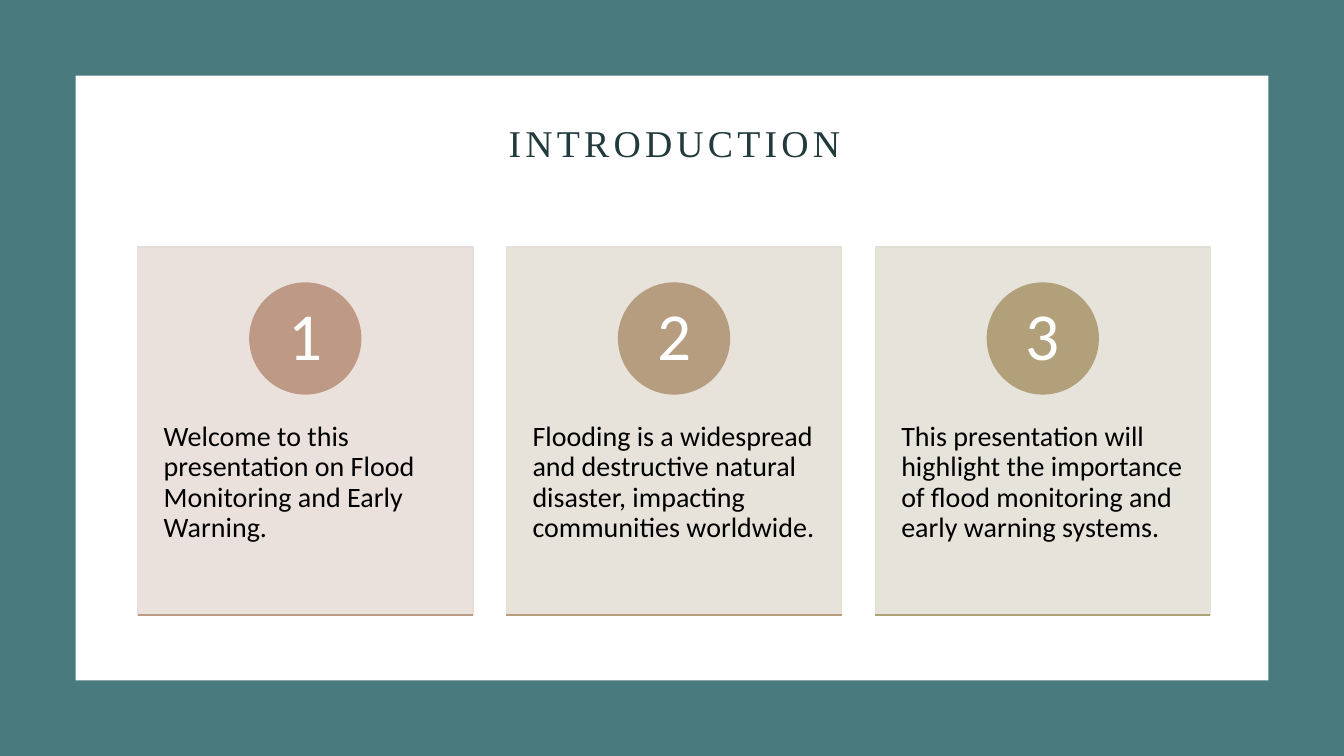
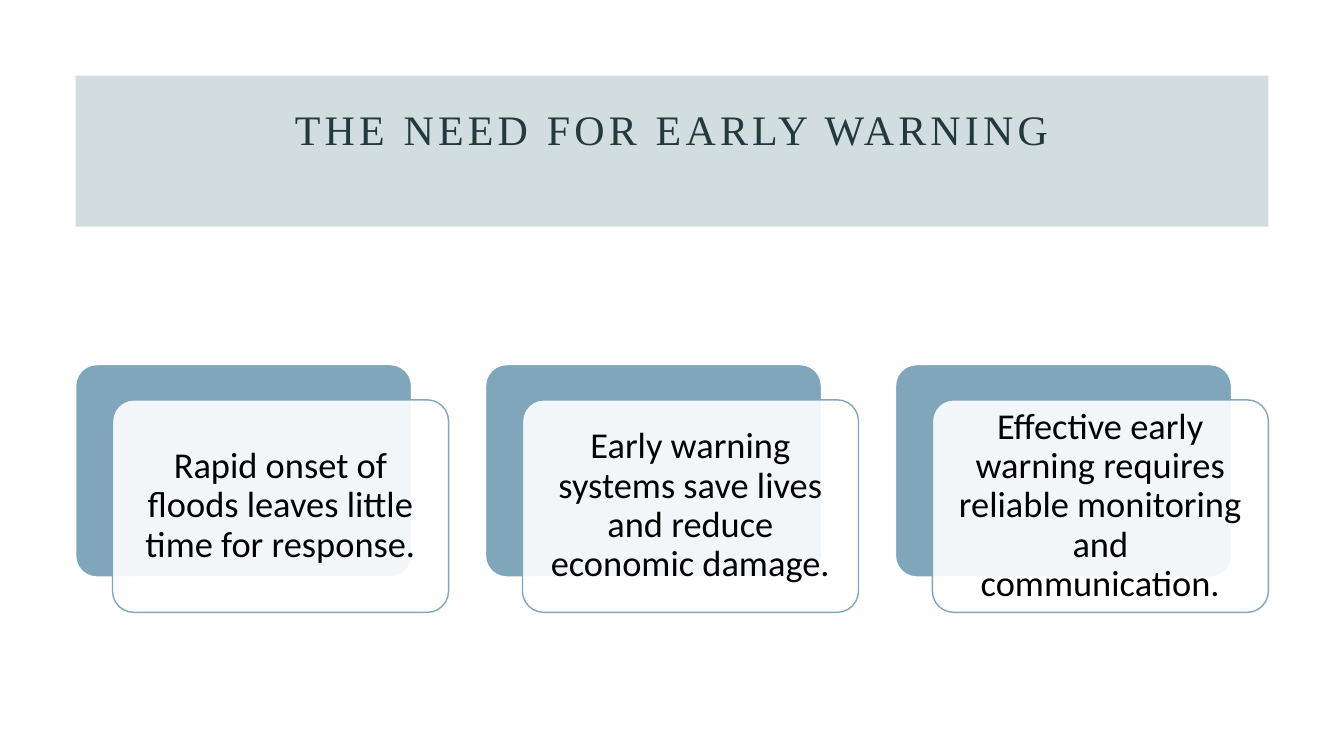
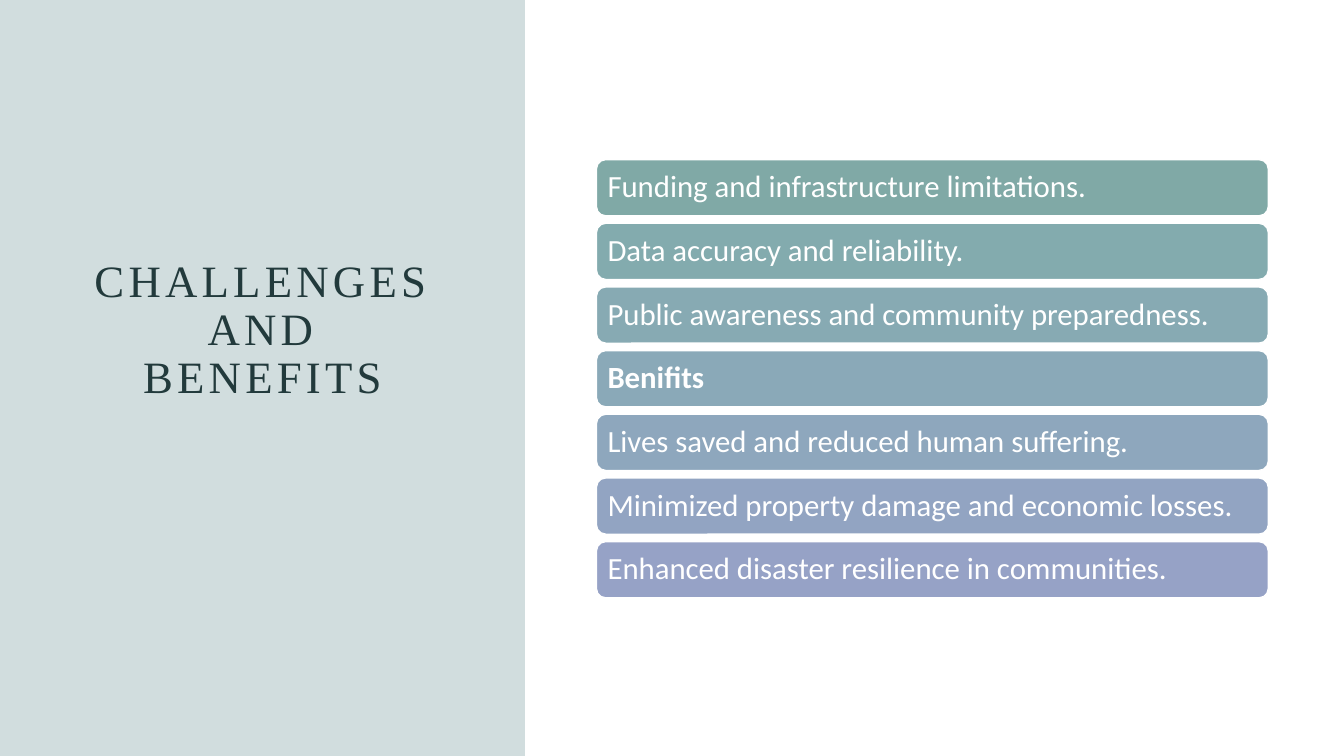
import pptx
import pptx.util
import pptx.dml.color
import pptx.enum.shapes
import pptx.enum.text
import pptx.oxml.ns
import pptx.oxml.xmlchemy

RGBColor = pptx.dml.color.RGBColor
Shapes = pptx.enum.shapes.MSO_SHAPE
Align = pptx.enum.text.PP_ALIGN
Anchor = pptx.enum.text.MSO_ANCHOR

TEAL = RGBColor(0x48, 0x7A, 0x7E)
DARK_TEAL = RGBColor(0x22, 0x3A, 0x3C)
BLUE = RGBColor(0x7F, 0xA6, 0xBA)
WHITE = RGBColor(0xFF, 0xFF, 0xFF)
BLACK = RGBColor(0x00, 0x00, 0x00)
TITLE_FONT = "Times New Roman"
BODY_FONT = "Calibri"
LINE_SPACING = 0.9

COLUMNS, ROWS = 160, 90
CELL = pptx.util.Inches(7.5) / ROWS
MARGIN = 9
CONTENT = COLUMNS - 2 * MARGIN

presentation = pptx.Presentation()
presentation.slide_width = round(COLUMNS * CELL)
presentation.slide_height = round(ROWS * CELL)


def add_box(slide, kind, bounds, fill, line=None, opacity=100):
    shape = slide.shapes.add_shape(kind, *[round(value * CELL) for value in bounds])
    shape.shadow.inherit = False
    shape.fill.solid()
    shape.fill.fore_color.rgb = fill
    if opacity < 100:
        color = shape._element.spPr.find(pptx.oxml.ns.qn("a:solidFill"))[0]
        alpha = pptx.oxml.xmlchemy.OxmlElement("a:alpha")
        alpha.set("val", str(opacity * 1000))
        color.append(alpha)
    if line is None:
        shape.line.fill.background()
    else:
        shape.line.color.rgb = line
        shape.line.width = pptx.util.Pt(1)
    return shape


def write_text(shape, text, size, color, margins, font=BODY_FONT,
               align=Align.CENTER, anchor=Anchor.MIDDLE):
    frame = shape.text_frame
    frame.text = text
    frame.word_wrap = True
    frame.auto_size = pptx.enum.text.MSO_AUTO_SIZE.NONE
    frame.vertical_anchor = anchor
    left, top, right, bottom = [round(value * CELL) for value in margins]
    frame.margin_left, frame.margin_top = left, top
    frame.margin_right, frame.margin_bottom = right, bottom
    paragraph = frame.paragraphs[0]
    paragraph.alignment = align
    paragraph.line_spacing = LINE_SPACING
    run = paragraph.runs[0]
    run.font.name = font
    run.font.size = pptx.util.Pt(size)
    run.font.color.rgb = color
    return run


pages = [
    ("INTRODUCTION", 27, (18, 14, 124.6, 11.8), 5.9,
     [((0, 0, COLUMNS, ROWS), TEAL, 100),
      ((MARGIN, MARGIN, CONTENT, ROWS - 2 * MARGIN), WHITE, 100)]),
    ("THE NEED FOR EARLY WARNING", 30, (18.4, 12.5, 123.2, 12.2), 6.4,
     [((MARGIN, MARGIN, CONTENT, 18), TEAL, 25)]),
    ("CHALLENGES AND BENEFITS", 32, (MARGIN, 9.2, 44.5, 72), 12.2,
     [((0, 0, 62.5, ROWS), TEAL, 25)]),
]
slides = []
for title_text, size, bounds, bottom, panels in pages:
    slide = presentation.slides.add_slide(presentation.slide_layouts[5])
    for panel_bounds, color, opacity in panels:
        add_box(slide, Shapes.RECTANGLE, panel_bounds, color, opacity=opacity)
    title = slide.shapes.title
    title.left, title.top, title.width, title.height = [round(value * CELL) for value in bounds]
    run = write_text(title, title_text, size, DARK_TEAL, (1.2, 0.6, 1.2, bottom), TITLE_FONT)
    run.font._element.set("spc", "300")
    slide.shapes._spTree.append(title._element)
    slides.append(slide)
introduction, need, challenges = slides

cards = [
    ("Welcome to this presentation on Flood Monitoring and Early Warning.",
     RGBColor(0xE8, 0xDE, 0xD9), RGBColor(0xBE, 0x9A, 0x86), RGBColor(0xBB, 0x9B, 0x83)),
    ("Flooding is a widespread and destructive natural disaster, impacting communities worldwide.",
     RGBColor(0xE5, 0xDF, 0xD7), RGBColor(0xB7, 0x9D, 0x7F), RGBColor(0xB4, 0x9E, 0x7C)),
    ("This presentation will highlight the importance of flood monitoring and early warning systems.",
     RGBColor(0xE3, 0xE0, 0xD6), RGBColor(0xB1, 0xA0, 0x79), RGBColor(0xAD, 0xA1, 0x76)),
]
card_left, card_top, card_width, card_height, card_gap = 16.4, 29.4, 39.9, 43.8, 4
circle_size = 13.2
for index, (text, card_color, circle_color, rule_color) in enumerate(cards):
    left = card_left + index * (card_width + card_gap)
    bottom = card_top + card_height
    card = add_box(introduction, Shapes.RECTANGLE, (left, card_top, card_width, card_height),
                   card_color, card_color, 90)
    write_text(card, text, 20, BLACK, (3.1, 20.9, 3.1, 4.3), align=Align.LEFT, anchor=Anchor.TOP)
    circle = add_box(introduction, Shapes.OVAL,
                     (left + (card_width - circle_size) / 2, card_top + 4.3, circle_size, circle_size),
                     circle_color, circle_color)
    write_text(circle, str(index + 1), 48, WHITE, (1, 0.1, 1, 0.1))
    ends = [round(value * CELL) for value in (left, bottom, left + card_width, bottom)]
    rule = introduction.shapes.add_connector(pptx.enum.shapes.MSO_CONNECTOR.STRAIGHT, *ends)
    rule.line.color.rgb = rule_color
    rule.line.width = pptx.util.Pt(1)
    rule._element.spPr.append(pptx.oxml.xmlchemy.OxmlElement("a:effectLst"))

reasons = [
    "Rapid onset of floods leaves little time for response.",
    "Early warning systems save lives and reduce economic damage.",
    "Effective early warning requires reliable monitoring and communication.",
]
plate_top, plate_width, plate_height = 43.4, 40, 25.3
shift_right, shift_down = 4.4, 4.2
pitch = (CONTENT - plate_width - shift_right) / (len(reasons) - 1)
for index, text in enumerate(reasons):
    left = MARGIN + index * pitch
    back = add_box(need, Shapes.ROUNDED_RECTANGLE,
                   (left, plate_top, plate_width, plate_height), BLUE, WHITE)
    front = add_box(need, Shapes.ROUNDED_RECTANGLE,
                    (left + shift_right, plate_top + shift_down, plate_width, plate_height),
                    WHITE, BLUE, 90)
    back.adjustments[0] = front.adjustments[0] = 0.1
    write_text(front, text, 26, BLACK, (1.3, 1.3, 1.3, 1.3))

bars = [
    ("Funding and infrastructure limitations.", RGBColor(0x80, 0xA9, 0xA6), False),
    ("Data accuracy and reliability.", RGBColor(0x83, 0xAB, 0xAE), False),
    ("Public awareness and community preparedness.", RGBColor(0x87, 0xAA, 0xB3), False),
    ("Benifits", RGBColor(0x8A, 0xA9, 0xB8), True),
    ("Lives saved and reduced human suffering.", RGBColor(0x8E, 0xA7, 0xBD), False),
    ("Minimized property damage and economic losses.", RGBColor(0x92, 0xA4, 0xC2), False),
    ("Enhanced disaster resilience in communities.", RGBColor(0x96, 0xA2, 0xC6), False),
]
bar_left, bar_top, bar_width, bar_height, bar_pitch = 71, 19, 80, 6.7, 7.58
for index, (text, color, bold) in enumerate(bars):
    bar = add_box(challenges, Shapes.ROUNDED_RECTANGLE,
                  (bar_left, bar_top + index * bar_pitch, bar_width, bar_height), color, WHITE)
    run = write_text(bar, text, 22, WHITE, (1, 1, 1, 1), align=Align.LEFT)
    run.font.bold = bold

presentation.save("out.pptx")
